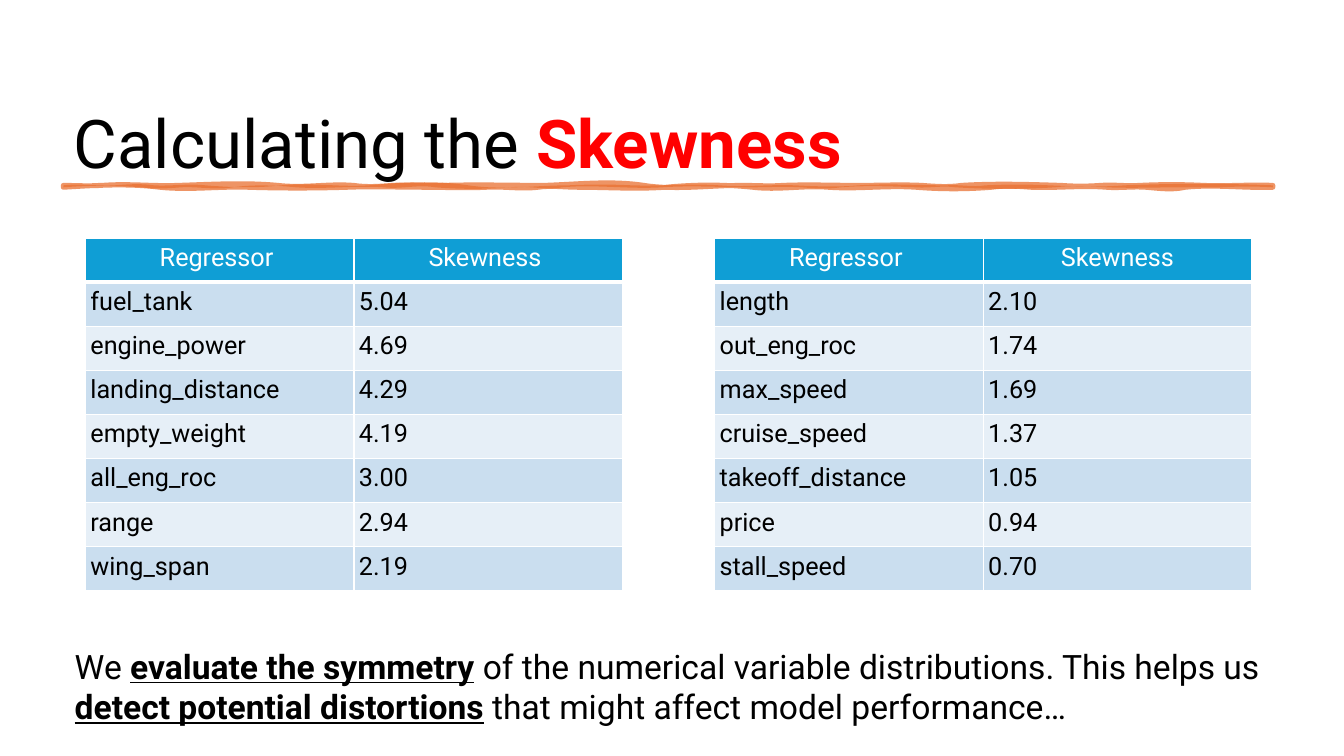
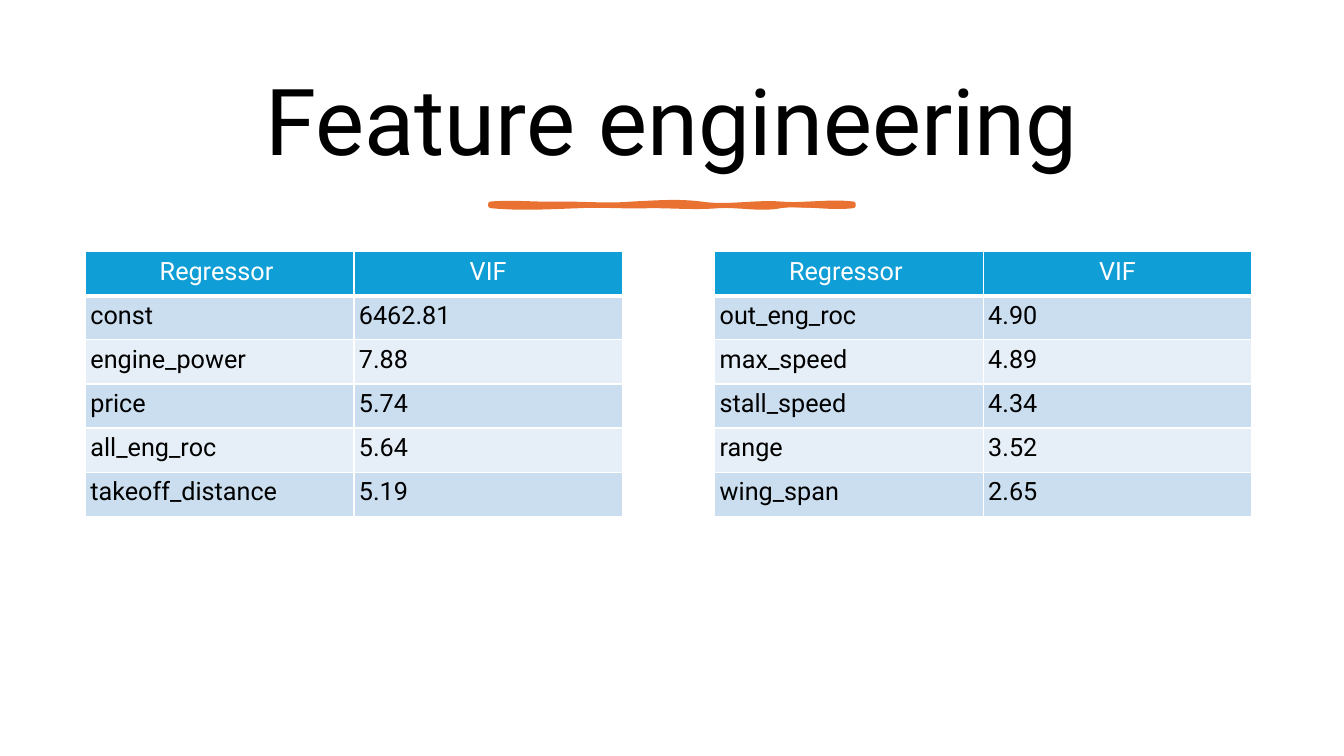
from lxml import etree
from pptx import Presentation
from pptx.dml.color import RGBColor
from pptx.enum import text
from pptx.oxml import ns
from pptx.util import Pt

WHITE = RGBColor(255, 255, 255)
BLACK = RGBColor(0, 0, 0)
RED = RGBColor(255, 0, 0)
ORANGE = RGBColor(0xE9, 0x71, 0x32)
BLUE = RGBColor(0x0F, 0x9E, 0xD5)
BANDS = (RGBColor(0xCA, 0xDE, 0xEF), RGBColor(0xE6, 0xEF, 0xF7))
FACE = "Roboto"
INSET = Pt(3.6)
LEFTS = (61, 510.5)     # left edges of the paired tables
COL, ROW = 191.8, 31.5  # table cell size
SWAY = 0.72             # unit of brush waviness
THICK = 1.44            # gap between the brush edges
FINE = 100              # outline units in a point

# Brush edges: (end in percent of width, first bend, second bend)
# Each stroke has an upper edge going right and a lower edge going left
LONG_BODY = (
    [(4.25, -2, 1), (7.5, -1, -2), (11.75, 1, -2), (18, 2, 3),
     (25.25, -3, 2), (33.5, -3, -5), (41.75, 5, 0), (47, -1, -1),
     (54.25, 1, -2), (60.5, 2, -1), (65.75, 1, 2), (73, -2, 0),
     (76.25, -1, 2), (81.5, -1, -1), (87.75, 1, 2), (100, -2, -2)],
    [(95.75, -1, -1), (92.5, 0, 0), (86.25, 0, 1), (82, -1, -2),
     (73.75, 2, 2), (70.5, -2, 1), (64.25, -1, -2), (61, 2, 1),
     (56.75, -1, 0), (49.5, 0, -2), (41.25, 2, -3), (37, 3, -2),
     (30.75, 2, 2), (26.5, -3, 2), (19.25, -2, 2), (14, -2, -3),
     (9.75, 3, -1), (6.5, 1, 2), (0, -2, -2)])
LONG_EDGE = (
    [(3.25, 0, 1), (9.5, -2, 1), (17.75, -1, -3), (24, 3, -2),
     (27.25, 2, 1), (31.5, -1, 1), (39.75, -1, 0), (48, -1, -5),
     (56.25, 5, 0), (59.5, 0, 1), (65.75, -1, 0), (71, 0, -1),
     (74.25, 1, 2), (82.5, -2, -1), (85.75, 1, 1), (89, -1, 1),
     (94.25, -1, -1), (100, 1, -1)],
    [(92.75, 1, -3), (89.5, 3, 1), (86.25, -1, 1), (80, -2, 1),
     (76.75, -1, -2), (70.5, 2, 2), (63.25, -2, 2), (57, -2, 3),
     (49.75, -3, -3), (42.5, 2, 0), (39.25, 0, -2), (35, 2, -1),
     (29.75, 1, 0), (23.5, 0, -1), (15.25, 1, 1), (8, -1, 3), (0, -4, -2)])
SHORT_BODY = (
    [(18, 3, 2), (40, -2, 4), (57, -3, -1), (74, 2, 2), (100, -1, -4)],
    [(81, 0, 4), (62, -3, 3), (43, -2, -1), (21, 2, 2), (0, -2, 0)])
SHORT_EDGE = (
    [(20, -2, 1), (39, 0, 2), (58, -1, -3), (80, 4, -2), (100, 2, -3)],
    [(80, 3, -3), (63, 4, -1), (44, 2, 0), (25, 1, -1), (0, 1, 3)])


def fade(fill, alpha):
    """Make a solid fill see-through; alpha is in percent."""
    color = fill._xPr.find(ns.qn("a:solidFill"))[0]
    etree.SubElement(color, ns.qn("a:alpha"), val=str(alpha * 1000))


def wave(edge, start, x, y, w):
    """Two handles and an end point for each wave of a brush edge."""
    dots = []
    for end, rise, fall in edge:
        for part, bend in ((1 / 3, rise), (2 / 3, fall), (1, 0)):
            dx = (start + (end - start) * part) / 100 * w
            dots.append(((x + dx) * FINE, (y + bend * SWAY) * FINE))
        start = end
    return dots


def bend(shape):
    """Turn each three straight segments into one curve."""
    route = next(shape._element.iter(ns.qn("a:path")))
    lines = route.findall(ns.qn("a:lnTo"))
    for i in range(0, len(lines), 3):
        curve = etree.Element(ns.qn("a:cubicBezTo"))
        lines[i].addprevious(curve)
        for line in lines[i:i + 3]:
            curve.append(line[0])
            route.remove(line)


def brush(slide, box, body, edge, width, alpha=100):
    """Hand-drawn rule: a filled stroke under an outlined one."""
    x, y, w = box
    low = y + THICK
    for part in (body, edge):
        pen = slide.shapes.build_freeform(x * FINE, y * FINE,
                                          scale=Pt(1) / FINE)
        pen.add_line_segments(wave(part[0], 0, x, y, w)
                              + wave([(100, 0, 0)], 100, x, low, w)
                              + wave(part[1], 100, x, low, w))
        shape = pen.convert_to_shape()
        # The closing straight line follows the last whole curve
        route = next(shape._element.iter(ns.qn("a:path")))
        extra = len(route.findall(ns.qn("a:lnTo"))) % 3
        for line in route.findall(ns.qn("a:lnTo"))[::-1][:extra]:
            route.remove(line)
        bend(shape)
        shape.shadow.inherit = False
        if part is body:
            paint = shape.fill
            shape.line.fill.background()
        else:
            paint = shape.line.fill
            shape.fill.background()
            shape.line.width = Pt(width)
        paint.solid()
        paint.fore_color.rgb = ORANGE
        if alpha < 100:
            fade(paint, alpha)


def style(font, size, color):
    font.name, font.size, font.color.rgb = FACE, Pt(size), color


def label(slide, box, size, runs):
    """Text box; each run is (words, its own font settings)."""
    frame = slide.shapes.add_textbox(*map(Pt, box)).text_frame
    frame.word_wrap = True
    frame.margin_left = frame.margin_right = INSET
    frame.margin_top = frame.margin_bottom = INSET
    para = frame.paragraphs[0]
    style(para.font, size, BLACK)
    for words, marks in runs:
        run = para.add_run()
        run.text = words
        for key, value in marks.items():
            if key == "color":
                run.font.color.rgb = value
            else:
                setattr(run.font, key, value)
    return frame


def border(cell, row):
    """White cell borders, thick below the header row."""
    props = cell._tc.get_or_add_tcPr()
    for side in "LRTB":
        thick = (row, side) in ((0, "B"), (1, "T"))
        line = etree.SubElement(props, ns.qn("a:ln" + side),
                                w=str(Pt(3 if thick else 1)))
        fill = etree.SubElement(line, ns.qn("a:solidFill"))
        etree.SubElement(fill, ns.qn("a:srgbClr"), val=str(WHITE))


def grid(slide, x, y, rows):
    """Two-column table with a header and banded rows."""
    table = slide.shapes.add_table(len(rows), 2, Pt(x), Pt(y), Pt(2 * COL),
                                   Pt(ROW * len(rows))).table
    table.horz_banding = False
    for r, row in enumerate(rows):
        for c, words in enumerate(row):
            cell = table.cell(r, c)
            cell.margin_left = cell.margin_right = INSET
            cell.margin_top = cell.margin_bottom = INSET
            border(cell, r)
            cell.fill.solid()
            cell.fill.fore_color.rgb = BANDS[(r - 1) % 2] if r else BLUE
            cell.text = words
            para = cell.text_frame.paragraphs[0]
            style(para.font, 18, BLACK if r else WHITE)
            para.font.bold = False
            if r == 0:
                para.alignment = text.PP_ALIGN.CENTER


def pair(slide, y, heads, *lists):
    """Two tables side by side, each with its value heading."""
    for x, head, rows in zip(LEFTS, heads, lists):
        grid(slide, x, y, [("Regressor ", head)] + rows)


def skew(slide):
    brush(slide, (45.2, 132.4, 864), LONG_BODY, LONG_EDGE, 3.5, 75)
    label(slide, (49, 69, 879, 65.5), 48, [
        ("Calculating the ", {}),
        ("Skewness", {"bold": True, "color": RED})])
    strong = {"bold": True, "underline": True}
    label(slide, (49.8, 457.6, 854.6, 65.5), 24, [
        ("We ", {}),
        ("evaluate the symmetry", strong),
        (" of the numerical variable distributions. This helps us ", {}),
        ("detect potential distortions", strong),
        (" that might affect model performance…", {})])
    pair(slide, 170.1, ("Skewness ", "Skewness"),
         [("fuel_tank", "5.04"), ("engine_power", "4.69"),
          ("landing_distance", "4.29"), ("empty_weight", "4.19"),
          ("all_eng_roc", "3.00"), ("range", "2.94"), ("wing_span", "2.19")],
         [("length", "2.10"), ("out_eng_roc", "1.74"), ("max_speed", "1.69"),
          ("cruise_speed", "1.37"), ("takeoff_distance", "1.05"),
          ("price", "0.94"), ("stall_speed", "0.70")])


def feature(slide):
    frame = label(slide, (54, 36, 852, 108), 66, [("Feature engineering", {})])
    frame.vertical_anchor = text.MSO_ANCHOR.MIDDLE
    para = frame.paragraphs[0]
    para.alignment = text.PP_ALIGN.CENTER
    para.line_spacing = 0.9
    brush(slide, (350.4, 145.6, 259.2), SHORT_BODY, SHORT_EDGE, 3.25)
    pair(slide, 179.8, ("VIF", "VIF"),
         [("const", "6462.81"), ("engine_power", "7.88"), ("price", "5.74"),
          ("all_eng_roc", "5.64"), ("takeoff_distance", "5.19")],
         [("out_eng_roc", "4.90"), ("max_speed", "4.89"),
          ("stall_speed", "4.34"), ("range", "3.52"), ("wing_span", "2.65")])


def main():
    deck = Presentation()
    deck.slide_width, deck.slide_height = Pt(960), Pt(540)
    for build in (skew, feature):
        build(deck.slides.add_slide(deck.slide_layouts[6]))
    deck.save("out.pptx")


if __name__ == "__main__":
    main()
